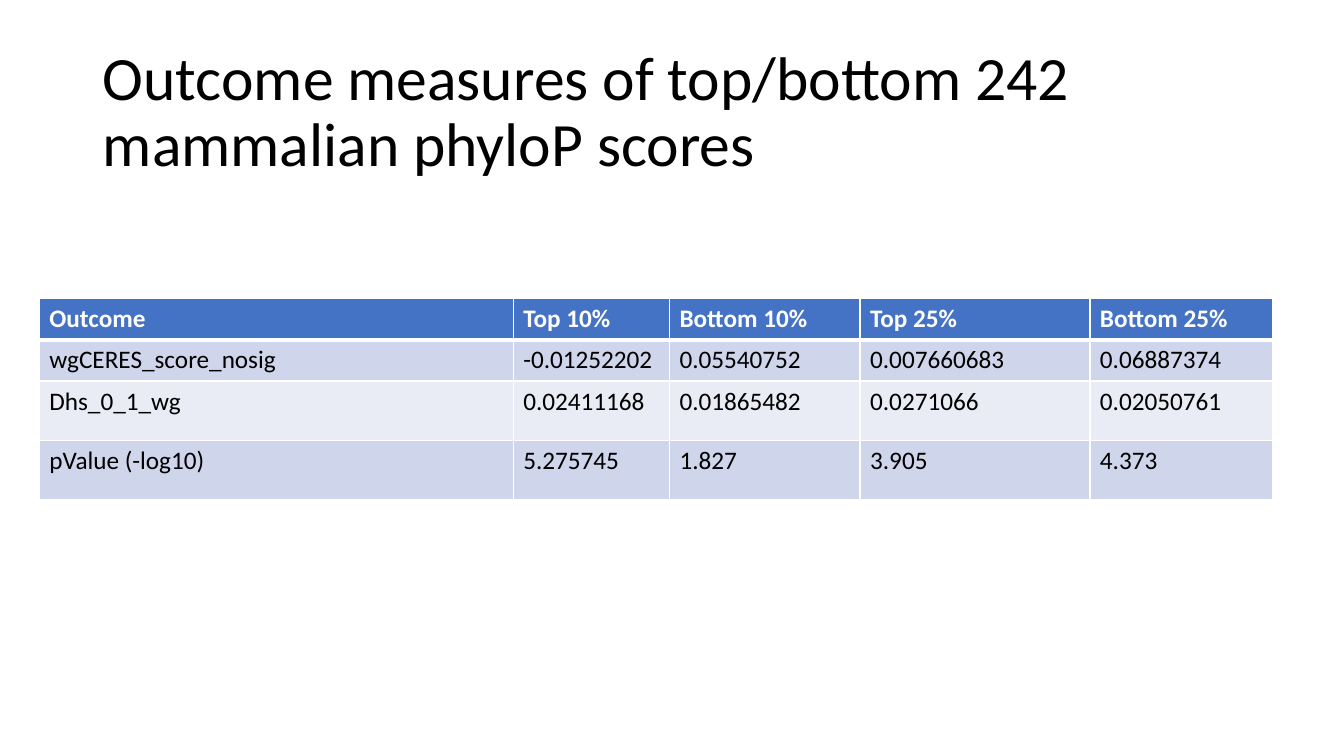
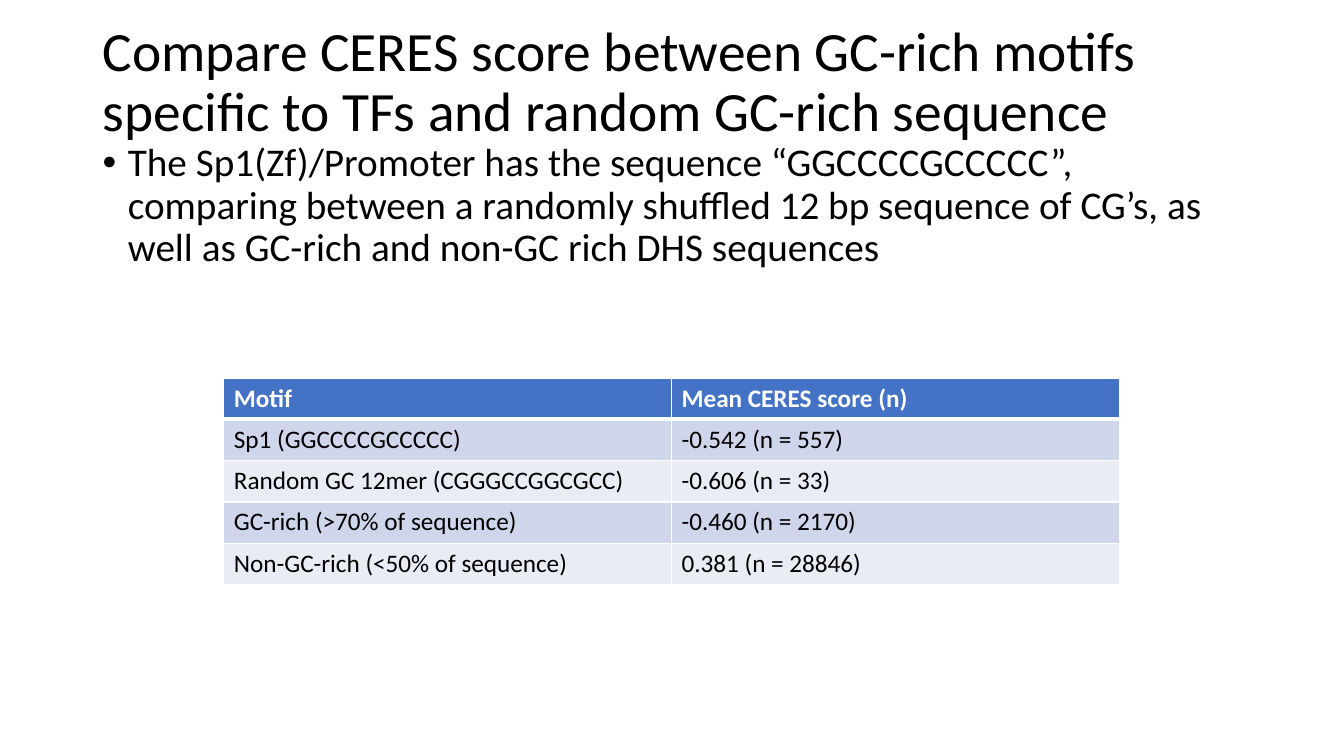
"""Build two slides that tabulate outcome measures and CERES scores."""
from lxml.etree import SubElement
from pptx import Presentation
from pptx.dml.color import RGBColor
from pptx.enum.text import MSO_ANCHOR, MSO_AUTO_SIZE, PP_ALIGN
from pptx.oxml.ns import qn
from pptx.util import Inches, Pt

FONT = "Calibri"
COLORS = {
    "text": "000000",
    "white": "FFFFFF",
    "head": "4472C4",
    "odd": "CFD5EA",
    "even": "E9EBF5",
}

SLIDES = [
    {
        "title": "Outcome measures of top/bottom 242 mammalian phyloP scores",
        "size": 44,
        "top": 0.4,
        "bullet": None,
        "place": (0.39, 2.96),
        "cols": [4.7, 1.55, 1.89, 2.28, 1.81],
        "heights": [0.41, 0.41, 0.59, 0.59],
        "rows": [
            ["Outcome", "Top 10%", "Bottom 10%", "Top 25%", "Bottom 25%"],
            ["wgCERES_score_nosig", "-0.01252202", "0.05540752", "0.007660683", "0.06887374"],
            ["Dhs_0_1_wg", "0.02411168", "0.01865482", "0.0271066", "0.02050761"],
            ["pValue (-log10)", "5.275745", "1.827", "3.905", "4.373"],
        ],
    },
    {
        "title": "Compare CERES score between GC-rich motifs specific to TFs "
                 "and random GC-rich sequence",
        "size": 39.6,
        "top": 0.1,
        "bullet": "The Sp1(Zf)/Promoter has the sequence “GGCCCCGCCCCC”, comparing "
                  "between a randomly shuffled 12 bp sequence of CG’s, as well as "
                  "GC-rich and non-GC rich DHS sequences",
        "place": (2.22, 3.75),
        "cols": [4.44] * 2,
        "heights": [0.41] * 5,
        "rows": [
            ["Motif", "Mean CERES score (n)"],
            ["Sp1 (GGCCCCGCCCCC)", "-0.542 (n = 557)"],
            ["Random GC 12mer (CGGGCCGGCGCC)", "-0.606 (n = 33)"],
            ["GC-rich (>70% of sequence)", "-0.460 (n = 2170)"],
            ["Non-GC-rich (<50% of sequence)", "0.381 (n = 28846)"],
        ],
    },
]


def write(para, text, size, color="text", bold=False):
    """Add one formatted run to a paragraph."""
    run = para.add_run()
    run.text = text
    run.font.name = FONT
    run.font.size = Pt(size)
    run.font.bold = bold
    run.font.color.rgb = RGBColor.from_string(COLORS[color])


def edge(cell, side, width):
    """Draw one white border of a table cell."""
    props = cell._tc.get_or_add_tcPr()
    line = SubElement(props, qn(f"a:ln{side}"), w=str(Pt(width)))
    fill = SubElement(line, qn("a:solidFill"))
    SubElement(fill, qn("a:srgbClr"), val=COLORS["white"])


prs = Presentation()
prs.slide_width, prs.slide_height = Inches(13.33), Inches(7.5)

for data in SLIDES:
    slide = prs.slides.add_slide(prs.slide_layouts[5])
    title = slide.shapes.title
    title.left, title.top = Inches(0.92), Inches(data["top"])
    title.width, title.height = Inches(11.5), Inches(1.45)
    frame = title.text_frame
    frame.auto_size = MSO_AUTO_SIZE.NONE
    frame.vertical_anchor = MSO_ANCHOR.MIDDLE
    para = frame.paragraphs[0]
    para.alignment = PP_ALIGN.LEFT
    para.line_spacing = 0.9
    write(para, data["title"], data["size"])

    if data["bullet"]:
        box = slide.shapes.add_textbox(Inches(0.92), Inches(1.37), Inches(11.5), Inches(1.4))
        box.text_frame.word_wrap = True
        para = box.text_frame.paragraphs[0]
        para.line_spacing = 0.9
        props = para._p.get_or_add_pPr()
        props.set("marL", str(Inches(0.25)))
        props.set("indent", str(-Inches(0.25)))
        SubElement(props, qn("a:buFont"), typeface="Arial")
        SubElement(props, qn("a:buChar"), char="•")
        write(para, data["bullet"], 28)

    rows, cols, heights = data["rows"], data["cols"], data["heights"]
    left, top = data["place"]
    table = slide.shapes.add_table(
        len(rows), len(cols), Inches(left), Inches(top),
        Inches(sum(cols)), Inches(sum(heights)),
    ).table
    for col, width in zip(table.columns, cols):
        col.width = Inches(width)
    for r, (row, height) in enumerate(zip(rows, heights)):
        table.rows[r].height = Inches(height)
        shade = "head" if r == 0 else "odd" if r % 2 else "even"
        for c, text in enumerate(row):
            cell = table.cell(r, c)
            for side in "LRTB":
                thick = (r, side) in [(0, "B"), (1, "T")]
                edge(cell, side, 3 if thick else 1)
            cell.fill.solid()
            cell.fill.fore_color.rgb = RGBColor.from_string(COLORS[shade])
            write(cell.text_frame.paragraphs[0], text, 18,
                  "text" if r else "white", r == 0)

prs.save("out.pptx")
